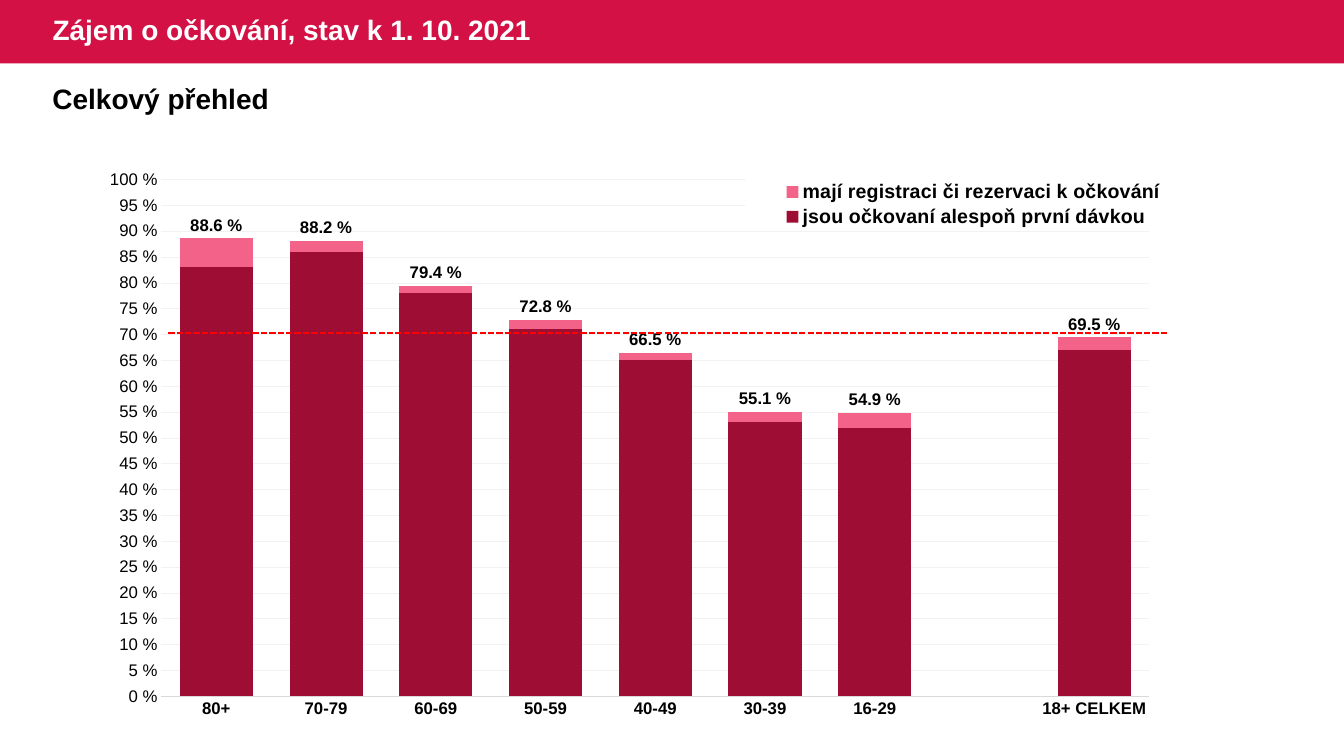
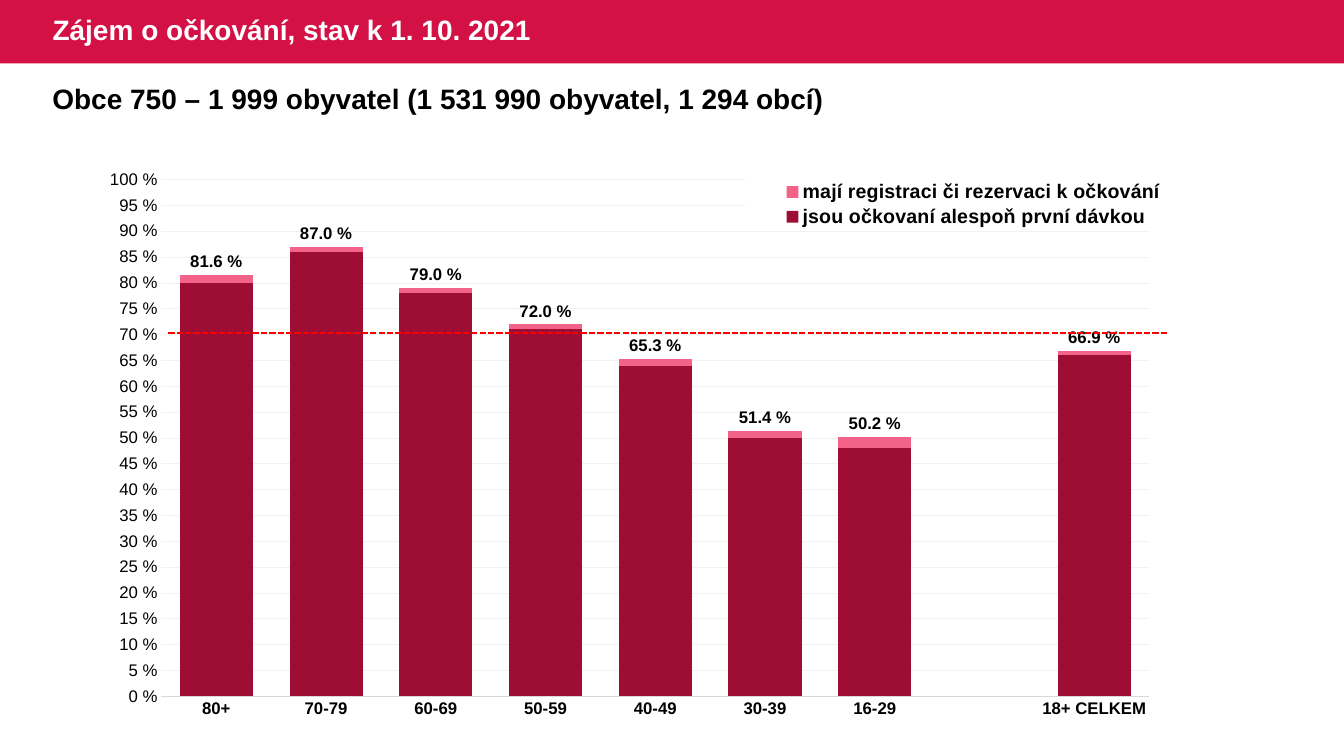
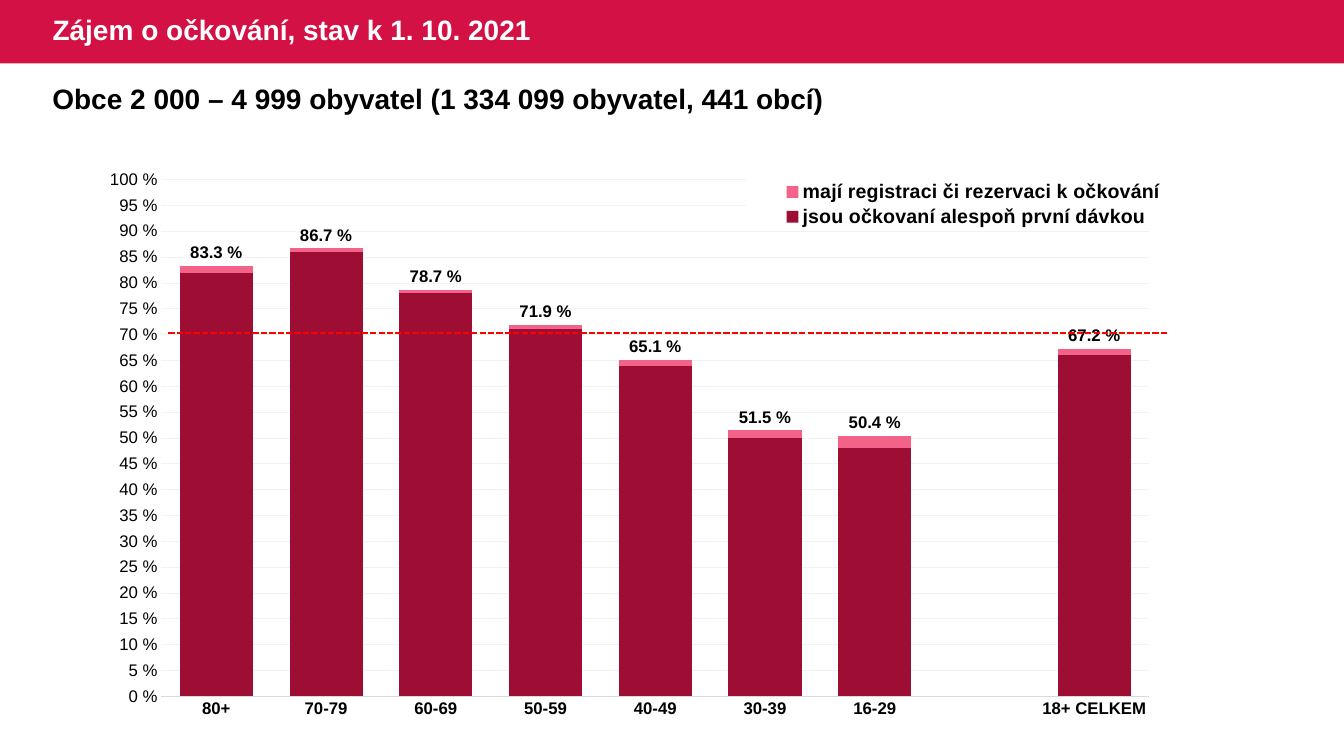
from dataclasses import dataclass

from lxml import etree
from pptx import Presentation
from pptx.chart.data import CategoryChartData
from pptx.dml.color import RGBColor
from pptx.enum.chart import XL_CHART_TYPE as ChartType
from pptx.enum.chart import XL_LABEL_POSITION as LabelPos
from pptx.enum.chart import XL_LEGEND_POSITION as LegendPos
from pptx.enum.chart import XL_TICK_MARK as TickMark
from pptx.enum.dml import MSO_LINE as Dash
from pptx.enum.shapes import MSO_CONNECTOR as Connector
from pptx.enum.shapes import MSO_SHAPE as Shape
from pptx.enum.text import MSO_ANCHOR as Anchor
from pptx.enum.text import MSO_AUTO_SIZE as AutoSize
from pptx.enum.text import PP_ALIGN as Align
from pptx.oxml import parse_xml
from pptx.oxml.ns import nsdecls, qn
from pptx.util import Cm, Pt

# Content
TITLE = "Zájem o očkování, stav k 1. 10. 2021"
AGES = ["80+", "70-79", "60-69", "50-59", "40-49", "30-39", "16-29", "", "18+ CELKEM"]
REGISTERED = "mají registraci či rezervaci k očkování"
VACCINATED = "jsou očkovaní alespoň první dávkou"
SLIDES = [
    ("Celkový přehled",
     [88.6, 88.2, 79.4, 72.8, 66.5, 55.1, 54.9, None, 69.5],
     [83, 86, 78, 71, 65, 53, 52, None, 67]),
    ("Obce 750 – 1 999 obyvatel (1 531 990 obyvatel, 1 294 obcí)",
     [81.6, 87, 79, 72, 65.3, 51.4, 50.2, None, 66.9],
     [80, 86, 78, 71, 64, 50, 48, None, 66]),
    ("Obce 2 000 – 4 999 obyvatel (1 334 099 obyvatel, 441 obcí)",
     [83.3, 86.7, 78.7, 71.9, 65.1, 51.5, 50.4, None, 67.2],
     [82, 86, 78, 71, 64, 50, 48, None, 66]),
]


# Theme
@dataclass(frozen=True)
class Theme:
    font: str = "Arial"
    band: str = "D31145"
    white: str = "FFFFFF"
    text: str = "000000"
    registered: str = "F26289"
    vaccinated: str = "9E0D34"
    axis: str = "D9D9D9"
    grid: str = "F2F2F2"
    target: str = "FF0000"
    heading_size: int = 20
    legend_size: int = 14
    label_size: int = 12
    chart_size: int = 10


T = Theme()
WIDTH, HEIGHT = Cm(33.87), Cm(19.05)
BAND_HEIGHT = Cm(1.6)
MARGIN = Cm(1.07)
TITLE_BOX = MARGIN, 0, Cm(14.99), BAND_HEIGHT
SUBTITLE_BOX = MARGIN, Cm(1.93), Cm(31.47), Cm(1.12)
CHART_BOX = Cm(2.77), Cm(4.06), Cm(28.07), Cm(14.55)
TARGET_LINE = Cm(4.24), Cm(8.38), Cm(29.44), Cm(8.38)
PLOT_AREA = 0.045, 0.032, 0.888, 0.895
LEGEND_AREA = 0.57, 0.03, 0.41, 0.09


def rgb(color):
    return RGBColor.from_string(color)


def set_font(font, size, color=T.text, bold=True):
    values = {"name": T.font, "size": Pt(size), "bold": bold}
    for name, value in values.items():
        setattr(font, name, value)
    font.color.rgb = rgb(color)


def set_line(line, color, width):
    line.color.rgb = rgb(color)
    line.width = Pt(width)


def fill_solid(fill, color):
    fill.solid()
    fill.fore_color.rgb = rgb(color)


def write_heading(sp, text, color, anchor, auto_size):
    tf = sp.text_frame
    for name, value in {"word_wrap": True, "vertical_anchor": anchor,
                        "auto_size": auto_size}.items():
        setattr(tf, name, value)
    p = tf.paragraphs[0]
    p.alignment = Align.LEFT
    r = p.add_run()
    r.text = text
    set_font(r.font, T.heading_size, color)
    return p


# Shared band, kept on the layout behind the titles
def add_band(layout, s):
    sp = s.shapes.add_shape(Shape.RECTANGLE, 0, 0, WIDTH, BAND_HEIGHT)
    sp.shadow.inherit = False
    fill_solid(sp.fill, T.band)
    sp.line.fill.background()
    layout.shapes.element.insert(2, sp.element)


def manual_layout(area, inner=False):
    target = '<c:layoutTarget val="inner"/>' if inner else ""
    modes = "".join(f'<c:{side}Mode val="edge"/>' for side in "xy")
    sizes = "".join(f'<c:{side} val="{v}"/>' for side, v in zip("xywh", area))
    return parse_xml(f'<c:layout {nsdecls("c")}><c:manualLayout>{target}{modes}{sizes}'
                     "</c:manualLayout></c:layout>")


def drop_layout(parent):
    for old in parent.findall(qn("c:layout")):
        parent.remove(old)


def format_axes(chart):
    ages, share = chart.category_axis, chart.value_axis
    for axis, bold in ((ages, True), (share, False)):
        axis.major_tick_mark = axis.minor_tick_mark = TickMark.NONE
        set_font(axis.tick_labels.font, T.label_size, bold=bold)
    set_line(ages.format.line, T.axis, 0.75)
    share.format.line.fill.background()
    for name, value in {"minimum_scale": 0, "maximum_scale": 100, "major_unit": 5,
                        "has_major_gridlines": True}.items():
        setattr(share, name, value)
    set_line(share.major_gridlines.format.line, T.grid, 0.5)
    share.tick_labels.number_format = '0" %"'
    share.tick_labels.number_format_is_linked = False


def format_legend(chart):
    chart.has_legend = True
    chart.legend.position = LegendPos.TOP
    chart.legend.include_in_layout = False
    set_font(chart.legend.font, T.legend_size)
    legend = chart.element.find(".//" + qn("c:legend"))
    drop_layout(legend)
    legend.find(qn("c:legendPos")).addnext(manual_layout(LEGEND_AREA))
    # White background hides the gridlines behind the legend
    legend.find(qn("c:txPr")).addprevious(parse_xml(
        f'<c:spPr {nsdecls("c", "a")}><a:solidFill><a:srgbClr val="{T.white}"/>'
        "</a:solidFill></c:spPr>"))


def add_share_chart(s, registered, vaccinated):
    data = CategoryChartData()
    data.categories = AGES
    data.add_series(REGISTERED, registered)
    data.add_series(VACCINATED, vaccinated)
    chart = s.shapes.add_chart(ChartType.COLUMN_CLUSTERED, *CHART_BOX, data).chart
    chart.has_title = False
    set_font(chart.font, T.chart_size, bold=False)

    plot = chart.plots[0]
    for name, value in {"gap_width": 50, "overlap": 100,
                        "vary_by_categories": False}.items():
        setattr(plot, name, value)
    for series, color in zip(plot.series, (T.registered, T.vaccinated)):
        fill_solid(series.format.fill, color)
        series.invert_if_negative = False

    labels = plot.series[0].data_labels
    for name, value in {"show_value": True, "number_format": '0.0" %"',
                        "number_format_is_linked": False,
                        "position": LabelPos.OUTSIDE_END}.items():
        setattr(labels, name, value)
    set_font(labels.font, T.label_size)

    format_axes(chart)
    format_legend(chart)
    area = chart.element.find(".//" + qn("c:plotArea"))
    drop_layout(area)
    area.insert(0, manual_layout(PLOT_AREA, inner=True))


def add_target_line(s):
    line = s.shapes.add_connector(Connector.STRAIGHT, *TARGET_LINE)
    set_line(line.line, T.target, 1.5)
    line.line.dash_style = Dash.SQUARE_DOT
    etree.SubElement(line.element.spPr, qn("a:effectLst"))


def add_slide(prs, layout, subtitle, registered, vaccinated):
    s = prs.slides.add_slide(layout)
    title = s.shapes.title
    title.left, title.top, title.width, title.height = TITLE_BOX
    p = write_heading(title, TITLE, T.white, Anchor.MIDDLE, AutoSize.NONE)
    p.line_spacing = 0.9
    sp = s.shapes.add_textbox(*SUBTITLE_BOX)
    write_heading(sp, subtitle, T.text, Anchor.TOP, AutoSize.SHAPE_TO_FIT_TEXT)
    add_share_chart(s, registered, vaccinated)
    add_target_line(s)
    return s


def main():
    prs = Presentation()
    prs.slide_width, prs.slide_height = WIDTH, HEIGHT
    layout = prs.slide_layouts[5]
    slides = [add_slide(prs, layout, *content) for content in SLIDES]
    add_band(layout, slides[0])
    prs.save("out.pptx")


if __name__ == "__main__":
    main()
